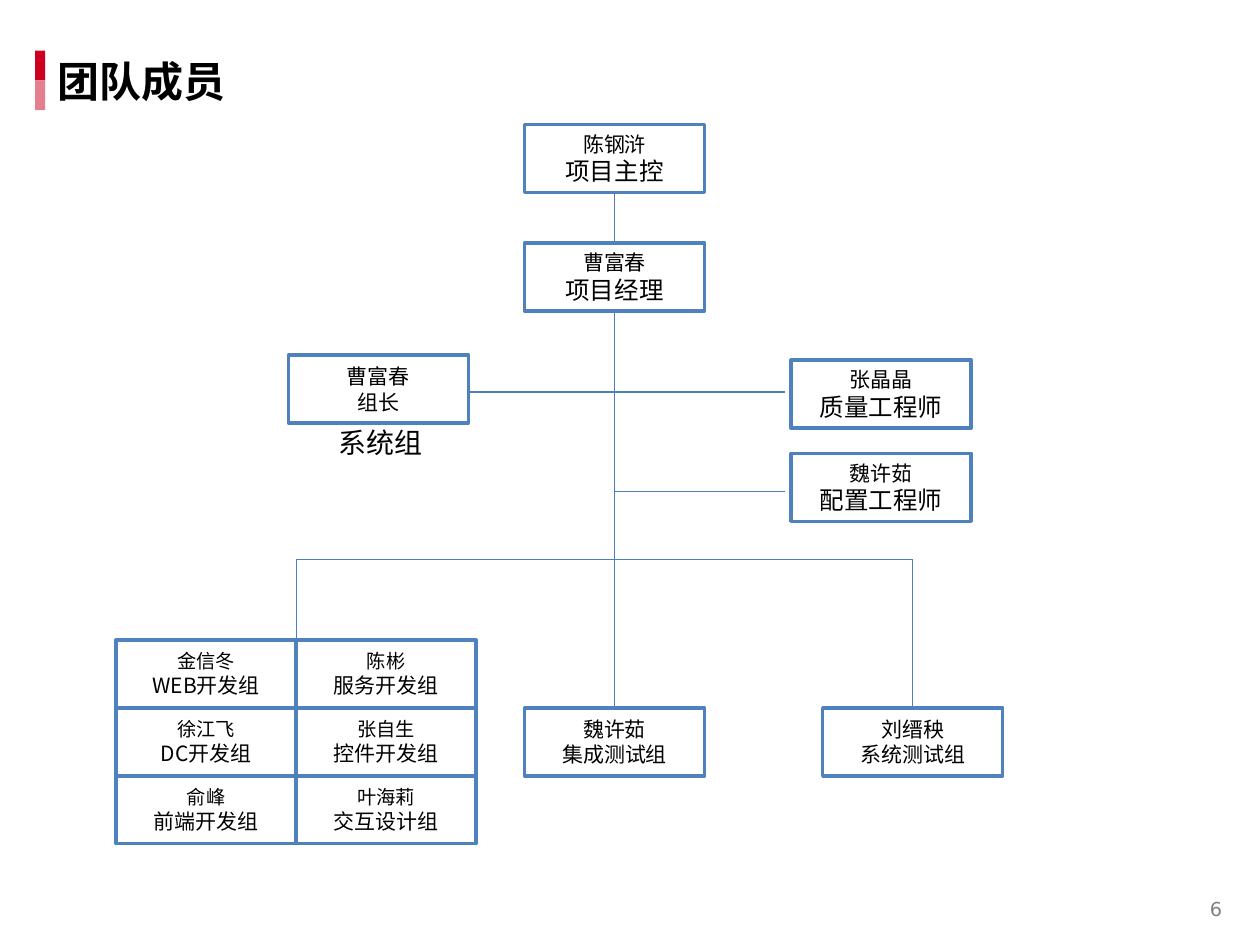
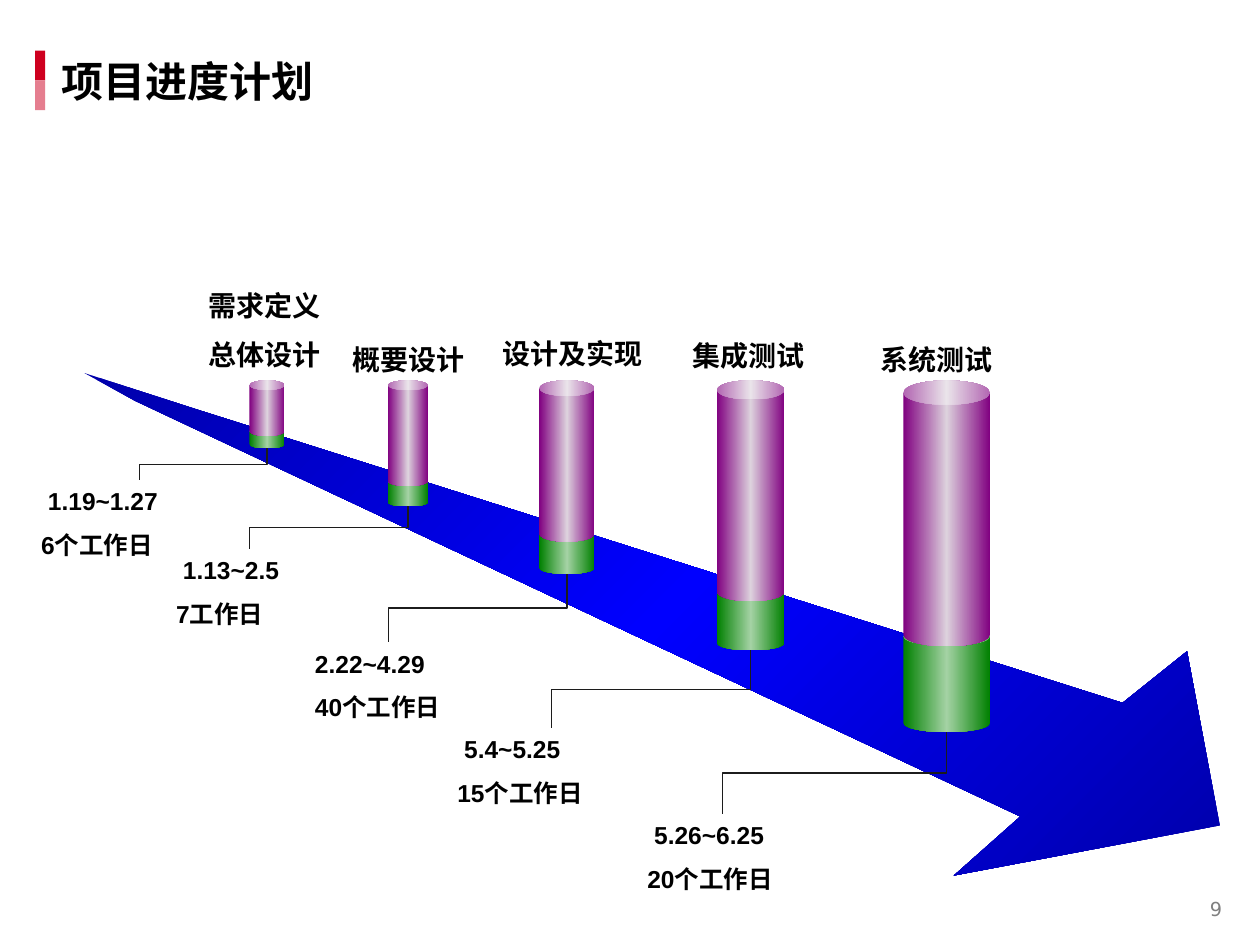
from dataclasses import dataclass
from lxml.etree import SubElement
from pptx import Presentation
from pptx.dml.color import RGBColor
from pptx.enum.shapes import MSO_CONNECTOR as Wire, MSO_SHAPE as Kind
from pptx.enum.text import MSO_ANCHOR as Anchor, PP_ALIGN as Align
from pptx.oxml.ns import qn
from pptx.util import Cm, Pt


@dataclass(frozen=True)
class Theme:
    red: str = "CE001F"
    pink: str = "E57E8F"
    black: str = "000000"
    white: str = "FFFFFF"
    gray: str = "808080"
    edge: str = "4F81BD"
    link: str = "4B7EBC"
    lead: str = "1C1C1C"
    navy: tuple = ("0000AB", "0000FF", "0000AB")
    green: tuple = ("008000", "A4D2A4", "008000")
    plum: tuple = ("800080", "DDD2DD", "800080")
    cjk: str = "Noto Sans CJK SC"
    sans: str = "DejaVu Sans"
    arial: str = "Arial"
    title: int = 24
    label: int = 16
    date: int = 14
    page: int = 11
    border: float = 2
    thin: float = 0.75


T = Theme()

# Team slide: all lengths are centimetres
BOX_W, BOX_H = 3.63, 1.37
MID, BUS, LOW = 12.39, 11.28, 14.27
SIDE = 15.95
TEST = 18.4
GRID_X, GRID_Y = 2.34, 12.9
FORK = GRID_X + BOX_W

# centre x, top, name, role, role size
STAFF = [
    (MID, 2.51, "陈钢浒", "项目主控", 14),
    (MID, 4.9, "曹富春", "项目经理", 14),
    (7.63, 7.16, "曹富春", "组长", 12),
    (SIDE + BOX_W / 2, 7.26, "张晶晶", "质量工程师", 14),
    (SIDE + BOX_W / 2, 9.14, "魏许茹", "配置工程师", 14),
    (MID, LOW, "魏许茹", "集成测试组", 12),
    (TEST, LOW, "刘缙秧", "系统测试组", 12),
]
DEVS = [
    [("金信冬", "WEB开发组"), ("陈彬", "服务开发组")],
    [("徐江飞", "DC开发组"), ("张自生", "控件开发组")],
    [("俞峰", "前端开发组"), ("叶海莉", "交互设计组")],
]
LINKS = [
    (MID, 3.88, MID, 4.9),
    (MID, 6.27, MID, BUS),
    (7.63 + BOX_W / 2, 7.9, MID, 7.9),
    (MID, 7.9, 15.82, 7.9),
    (MID, 9.91, 15.82, 9.91),
    (MID, BUS, FORK, BUS),
    (FORK, BUS, FORK, GRID_Y),
    (MID, BUS, MID, LOW),
    (MID, BUS, TEST, BUS),
    (TEST, LOW, TEST, BUS),
]

# Plan slide
ARROW = [(3.89, 8.23), (1.7, 7.52), (2.72, 8.08), (20.57, 16.46),
         (19.23, 17.65), (24.59, 16.64), (23.93, 13.13), (22.63, 14.17)]
CAN_TOP = 7.67
# label lines, label box (x, y, w), date lines, date box (x, y, w),
# can (x, w), plum part (h, bend), green part (y, h, bend)
PHASES = [
    (["需求定义", "总体设计"], (3.96, 5.69, 2.97),
     [" 1.19~1.27", "6个工作日"], (0.58, 9.68, 4.45),
     (5.03, 0.71), (1.12, 0.27), (8.61, 0.43, 0.4)),
    (["概要设计"], (6.86, 6.78, 2.85),
     [" 1.13~2.5", "7工作日"], (3.3, 11.07, 3.45),
     (7.82, 0.81), (2.13, 0.24), (9.63, 0.58, 0.27)),
    (["设计及实现"], (9.88, 6.65, 3.4),
     ["2.22~4.29", "40个工作日"], (6.1, 12.95, 3.45),
     (10.87, 1.12), (3.25, 0.28), (10.62, 0.95, 0.25)),
    (["集成测试"], (13.72, 6.71, 2.85),
     [" 5.4~5.25", "15个工作日"], (8.97, 14.68, 4.29),
     (14.45, 1.37), (4.45, 0.28), (11.79, 1.32, 0.22)),
    (["系统测试"], (17.5, 6.78, 2.85),
     [" 5.26~6.25", "20个工作日"], (12.8, 16.41, 3.53),
     (18.21, 1.75), (5.36, 0.28), (12.65, 2.11, 0.21)),
]


def rgb(tone):
    return RGBColor.from_string(tone)


# Text helpers
def write(shape, lines, sizes, font, tone=T.black, bold=False,
          align=Align.LEFT, gap=0):
    frame = shape.text_frame
    frame.word_wrap = True
    frame.text = "\n".join(lines)
    for i, (para, size) in enumerate(zip(frame.paragraphs, sizes)):
        para.alignment = align
        if gap and i:
            para.space_before = Pt(gap)
        for run in para.runs:
            face = run.font
            face.size, face.bold, face.name = Pt(size), bold, font
            face.color.rgb = rgb(tone)
            SubElement(face._element, qn("a:ea")).set("typeface", font)
    return frame


def note(slide, spot, lines, size, font, **more):
    box = slide.shapes.add_textbox(*map(Cm, spot))
    return write(box, lines, [size] * len(lines), font, **more)


def pad(frame):
    frame.vertical_anchor = Anchor.MIDDLE
    frame.margin_left = frame.margin_right = Cm(0.33)
    frame.margin_top = frame.margin_bottom = Cm(0.18)


# Shape helpers
def block(slide, kind, spot, tone=None):
    shape = slide.shapes.add_shape(kind, *map(Cm, spot))
    shape.shadow.inherit = False
    shape.line.fill.background()
    if tone:
        shape.fill.solid()
        shape.fill.fore_color.rgb = rgb(tone)
    return shape


def blend(shape, tones, angle=0):
    shape.fill.gradient()
    shape.fill.gradient_angle = angle
    stops = shape._element.spPr.find(qn("a:gradFill")).find(qn("a:gsLst"))
    for stop in list(stops):
        stops.remove(stop)
    for i, tone in enumerate(tones):
        stop = SubElement(stops, qn("a:gs"), pos=str(i * 50000))
        SubElement(stop, qn("a:srgbClr"), val=tone)


def wire(slide, kind, ends, tone):
    line = slide.shapes.add_connector(kind, *map(Cm, ends))
    line.line.color.rgb = rgb(tone)
    line.line.width = Pt(T.thin)
    SubElement(line._element.spPr, qn("a:effectLst"))
    return line


def elbow(slide, x1, y1, x2, y2):
    # A quarter turn makes the wire leave downwards
    wide, tall = y2 - y1, x1 - x2
    left, top = (x1 + x2 - wide) / 2, (y1 + y2 - tall) / 2
    line = wire(slide, Wire.ELBOW, (left, top, left + wide, top + tall), T.lead)
    line._element.spPr.find(qn("a:xfrm")).set("rot", "5400000")


def can(slide, spot, bend, tones):
    shape = block(slide, Kind.CAN, spot)
    shape.adjustments[0] = bend
    blend(shape, tones)


# Shared frame: title, side bars, page number
def start(deck, title, left, page):
    slide = deck.slides.add_slide(deck.slide_layouts[6])
    for i, tone in enumerate((T.red, T.pink)):
        block(slide, Kind.RECTANGLE, (0.71, 1.02 + i * 0.6, 0.2, 0.6), tone)
    pad(note(slide, (23.7, 17.83, 1.63, 0.99), [page], T.page, T.sans,
             tone=T.gray, align=Align.CENTER))
    pad(note(slide, (left, 1.02, 11.81, 1.22), [title], T.title, T.cjk,
             bold=True))
    return slide


def person(slide, mid, top, lines, sizes):
    shape = block(slide, Kind.RECTANGLE,
                  (mid - BOX_W / 2, top, BOX_W, BOX_H), T.white)
    shape.line.color.rgb = rgb(T.edge)
    shape.line.width = Pt(T.border)
    frame = write(shape, lines, sizes, T.cjk, align=Align.CENTER)
    frame.vertical_anchor = Anchor.MIDDLE


def team(deck):
    slide = start(deck, "团队成员", 0.84, "6")
    for ends in LINKS:
        wire(slide, Wire.STRAIGHT, ends, T.link)
    for mid, top, name, role, size in STAFF:
        person(slide, mid, top, [name, role], (12, size))
    # Grid of development groups
    for r, row in enumerate(DEVS):
        for c, pair in enumerate(row):
            person(slide, GRID_X + (c + 0.5) * BOX_W, GRID_Y + r * BOX_H,
                   pair, (11, 12))
    note(slide, (6.58, 8.46, 2.39, 0.94), ["系统组"], T.label, T.sans)


def plan(deck):
    slide = start(deck, "项目进度计划", 0.91, "9")
    # Big arrow
    pen = slide.shapes.build_freeform(*map(Cm, ARROW[0]))
    pen.add_line_segments([(Cm(x), Cm(y)) for x, y in ARROW[1:]], close=True)
    arrow = pen.convert_to_shape()
    arrow.shadow.inherit = False
    arrow.line.fill.background()
    blend(arrow, T.navy, 315)
    # Phases: green foot, lead line, plum body, texts
    for names, (nx, ny, nw), days, (dx, dy, dw), (x, w), body, foot in PHASES:
        tall, bend = body
        top, deep, curve = foot
        can(slide, (x, top, w, deep), curve, T.green)
        elbow(slide, x + w / 2, top + deep, dx + dw / 2, dy)
        can(slide, (x, CAN_TOP, w, tall), bend, T.plum)
        note(slide, (nx, ny, nw, 0.94 + (len(names) - 1) * 1.02), names,
             T.label, T.arial, bold=True, gap=9)
        note(slide, (dx, dy, dw, 1.75), days, T.date, T.arial,
             bold=True, gap=8)


def main():
    deck = Presentation()
    deck.slide_width, deck.slide_height = Cm(25.4), Cm(19.05)
    team(deck)
    plan(deck)
    deck.save("out.pptx")


if __name__ == "__main__":
    main()
